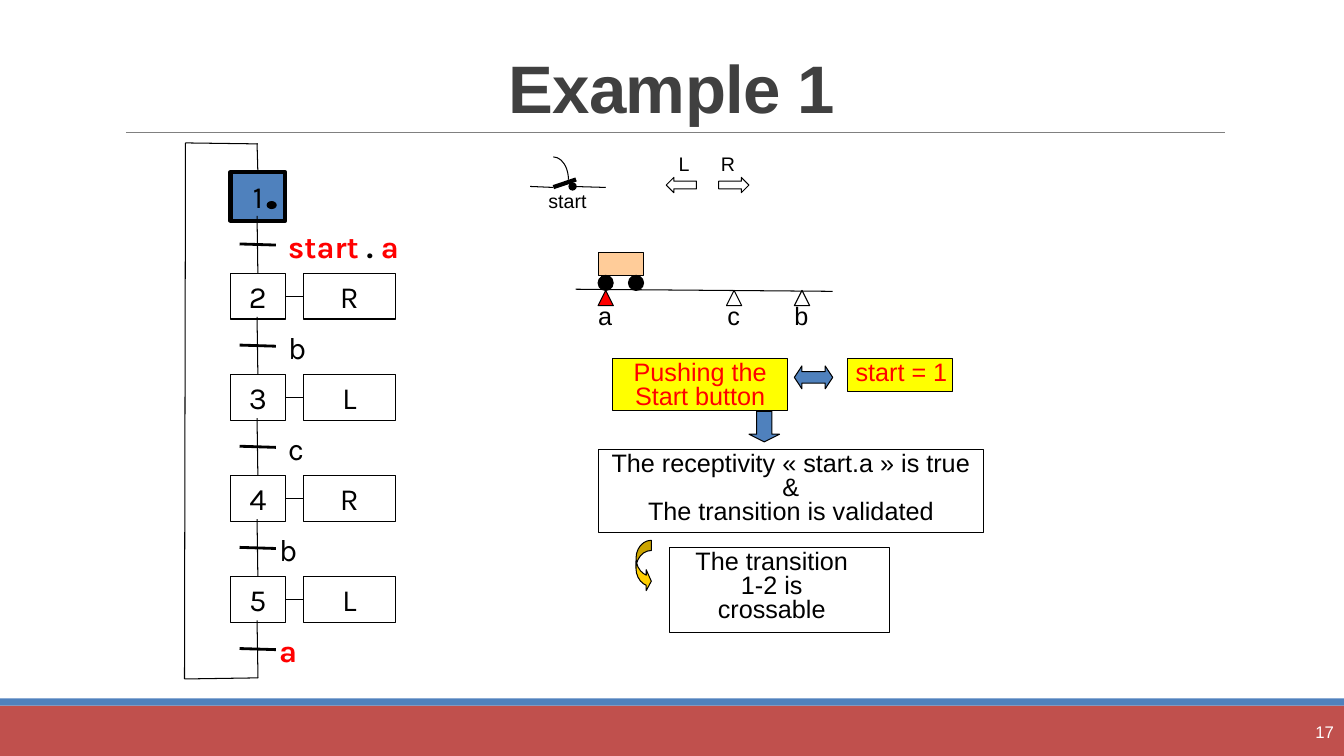
from lxml.etree import SubElement
from pptx import Presentation
from pptx.dml.color import RGBColor
from pptx.enum.shapes import MSO_CONNECTOR, MSO_SHAPE
from pptx.enum.text import MSO_ANCHOR, MSO_AUTO_SIZE, PP_ALIGN
from pptx.oxml.ns import qn
from pptx.util import Pt

BLACK, RED, BLUE, YELLOW = "000000", "FF0000", "4F81BD", "FFFF00"
LEAD = {"Arial": 17.1, "Karla": 26.1}
PITCH = 72.25
TOP = 123.05
STEPS = [
    ("1", None, 205.9, [("start ", RED, True), (". ", BLACK, True), ("a", RED, True)]),
    ("2", "R", 205.9, [("b", BLACK, False)]),
    ("3", "L", 205.9, [("c", BLACK, False)]),
    ("4", "R", 199.4, [("b", BLACK, False)]),
    ("5", "L", 199.4, [("a", RED, True)]),
]


def tint(color, code):
    color.rgb = RGBColor.from_string(code)


def add_run(para, text, font, size, code=BLACK, bold=False):
    run = para.add_run()
    run.text = text
    run.font.name = font
    run.font.size = Pt(size)
    run.font.bold = bold
    tint(run.font.color, code)
    return run


def write(frame, paras, font="Arial", size=18, align=PP_ALIGN.CENTER,
          inset=(0, 0, 0, 0), anchor=MSO_ANCHOR.TOP):
    frame.word_wrap = True
    frame.vertical_anchor = anchor
    frame.margin_left, frame.margin_top, frame.margin_right, frame.margin_bottom = map(Pt, inset)
    for i, runs in enumerate(paras):
        para = frame.add_paragraph() if i else frame.paragraphs[0]
        para.alignment = align
        para.line_spacing = Pt(LEAD[font])
        for run in runs:
            add_run(para, run[0], font, size, *run[1:])


def label(slide, x, y, w, h, runs, **style):
    box = slide.shapes.add_textbox(Pt(x), Pt(y), Pt(w), Pt(h))
    write(box.text_frame, [runs], **style)


def draw(slide, kind, x, y, w, h, fill=None, edge=BLACK, width=0.75, adjust=()):
    shape = slide.shapes.add_shape(kind, Pt(x), Pt(y), Pt(w), Pt(h))
    shape.shadow.inherit = False
    if fill:
        shape.fill.solid()
        tint(shape.fill.fore_color, fill)
    else:
        shape.fill.background()
    if edge:
        tint(shape.line.color, edge)
        shape.line.width = Pt(width)
    else:
        shape.line.fill.background()
    for i, value in enumerate(adjust):
        shape.adjustments[i] = value
    return shape


def note(slide, x, y, w, h, paras, fill=None, inset=(2.5, 3, 2.5, 0)):
    box = draw(slide, MSO_SHAPE.RECTANGLE, x, y, w, h, fill)
    write(box.text_frame, paras, inset=inset)


def cell(slide, x, y, w, h, text, **look):
    box = draw(slide, MSO_SHAPE.RECTANGLE, x, y, w, h, **look)
    write(box.text_frame, [[(text,)]], font="Karla", size=22, anchor=MSO_ANCHOR.MIDDLE)
    return box


def line(slide, x1, y1, x2, y2, width=0.75, code=BLACK, head=None):
    wire = slide.shapes.add_connector(MSO_CONNECTOR.STRAIGHT, Pt(x1), Pt(y1), Pt(x2), Pt(y2))
    tint(wire.line.color, code)
    wire.line.width = Pt(width)
    props = wire._element.spPr
    if head:
        SubElement(props.find(qn("a:ln")), qn("a:headEnd"), type=head)
    SubElement(props, qn("a:effectLst"))
    return wire


def add_frame(slide):
    draw(slide, MSO_SHAPE.RECTANGLE, 0, 504, 960, 36, "C0504D", None)
    draw(slide, MSO_SHAPE.RECTANGLE, 0, 498.8, 960, 5.2, BLUE, None)
    line(slide, 90, 94.5, 874.8, 94.5, 0.5, "808080")
    title = slide.shapes.title
    title.left, title.top, title.width, title.height = Pt(84), Pt(12.4), Pt(792), Pt(82)
    frame = title.text_frame
    frame.auto_size = MSO_AUTO_SIZE.NONE
    frame.vertical_anchor = MSO_ANCHOR.BOTTOM
    para = frame.paragraphs[0]
    para.alignment = PP_ALIGN.CENTER
    para.line_spacing = 0.85
    run = add_run(para, "Example 1", "Arial", 48, "404040", True)
    run._r.get_or_add_rPr().set("spc", "-50")
    label(slide, 857, 507, 103, 29, [("17", "FFFFFF")], size=12, align=PP_ALIGN.RIGHT,
          inset=(7.2, 3.6, 7.2, 3.6), anchor=MSO_ANCHOR.MIDDLE)


def add_chain(slide):
    boxes = []
    for i, (name, act, left, runs) in enumerate(STEPS):
        y = TOP + i * PITCH
        if act:
            box = cell(slide, 164.6, y, 39.2, 32.6, name)
            deed = cell(slide, 216.9, y, 65.3, 32.6, act)
            link = line(slide, 203.8, y + 16.3, 216.9, y + 16.3)
            link.begin_connect(box, 3)
            link.end_connect(deed, 1)
        else:
            box = cell(slide, 164.6, y, 39.2, 34.6, name, fill=BLUE, width=3)
        boxes.append(box)
        label(slide, left, y + 39.7, 86.4, 26, runs, font="Karla", size=22, align=PP_ALIGN.LEFT)
        line(slide, 171.1, y + 51.2, 197.1, y + 52, 2)
    for i in range(len(STEPS)):
        y = TOP + i * PITCH
        stem = line(slide, 183.6, y + 31.1, 184.3, y + PITCH)
        if i + 1 < len(boxes):
            stem.end_connect(boxes[i + 1], 0)
    line(slide, 184.3, 484.2, 131.8, 485)
    line(slide, 131.8, 485, 132.5, 102.1)
    line(slide, 132.5, 102.1, 184.3, 102.8)
    line(slide, 183.6, 102.5, 184.2, TOP).end_connect(boxes[0], 0)
    draw(slide, MSO_SHAPE.OVAL, 190.8, 144, 6.5, 5, BLACK)


def add_switch(slide):
    line(slide, 395.3, 133.7, 411.5, 128.2, 3)
    line(slide, 378.7, 133.2, 395.3, 133.9)
    line(slide, 409, 133.2, 432.7, 133.9, head="oval")
    draw(slide, MSO_SHAPE.ARC, 384.5, 112.1, 21.6, 32.6)
    draw(slide, MSO_SHAPE.LEFT_ARROW, 475.9, 126.7, 21.6, 10.9)
    draw(slide, MSO_SHAPE.RIGHT_ARROW, 513.4, 126.7, 21.6, 10.9)
    label(slide, 380.9, 134.6, 49, 17.1, [("start",)], size=14)
    for text, mid in (("L", 488.6), ("R", 520)):
        label(slide, mid - 10, 108, 20, 17.1, [(text,)], size=14)


def add_cart(slide):
    line(slide, 411.1, 206.6, 594.7, 208.1)
    draw(slide, MSO_SHAPE.RECTANGLE, 427.2, 180.5, 32.4, 16.3, "FFCC99")
    for x in (427.2, 448.9):
        draw(slide, MSO_SHAPE.OVAL, x, 196.7, 10.8, 10.8, BLACK)
    for text, x, fill in (("a", 427.2, RED), ("c", 518.9, None), ("b", 567.4, None)):
        draw(slide, MSO_SHAPE.ISOSCELES_TRIANGLE, x, 207.4, 10.9, 10.9, fill)
        label(slide, x - 8.6, 218.9, 27.4, 17.1, [(text,)])


def add_logic(slide):
    note(slide, 437.8, 256, 124.7, 37.4, [[("Pushing the Start button", RED)]], YELLOW)
    note(slide, 605.2, 256, 75, 23.5, [[("start = 1", RED)]], YELLOW, (2.5, 3, 0, 0))
    note(slide, 427.2, 321.1, 275.4, 59, [
        [("The receptivity « start.a » is true",)],
        [("&",)],
        [("The transition is validated",)],
    ])
    note(slide, 478.2, 391, 157.4, 61, [[("The transition 1-2 is crossable",)]],
         inset=(10.7, 3, 22, 0))
    draw(slide, MSO_SHAPE.DOWN_ARROW, 535, 293.8, 21.8, 21.8, BLUE, adjust=(0.5, 0.25))
    draw(slide, MSO_SHAPE.LEFT_RIGHT_ARROW, 567.4, 261.4, 27.4, 16.3, BLUE, adjust=(0.5, 0.33))
    draw(slide, MSO_SHAPE.CURVED_RIGHT_ARROW, 454.3, 385.9, 10.9, 36.7, "FFCF01",
         adjust=(0.67, 1.37, 0.33))


def main():
    deck = Presentation()
    deck.slide_width, deck.slide_height = Pt(960), Pt(540)
    slide = deck.slides.add_slide(deck.slide_layouts[5])
    add_frame(slide)
    add_cart(slide)
    add_switch(slide)
    add_logic(slide)
    add_chain(slide)
    deck.save("out.pptx")


if __name__ == "__main__":
    main()
